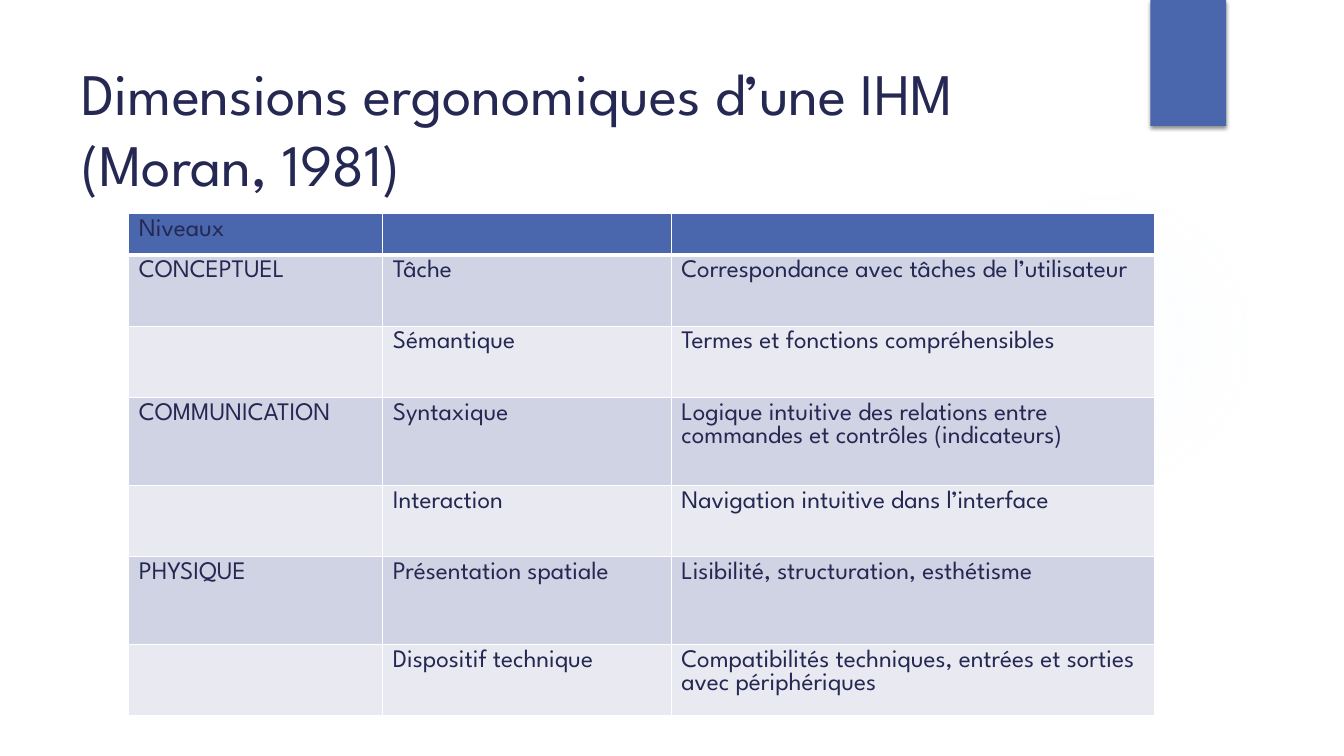
from dataclasses import dataclass

from pptx import Presentation
from pptx import util as u
from pptx.dml.color import RGBColor
from pptx.enum import shapes, text
from pptx.oxml import parse_xml
from pptx.oxml.ns import nsdecls, qn

COLORS = {
    "white": "FFFFFF",
    "navy": "242852",
    "blue": "4A66AC",
    "band_dark": "D0D3E3",
    "band_light": "E9EAF1",
    "glow": "DEEAFD",
    "shadow": "000000",
}
FONT = "League Spartan"
COLUMN_WIDTHS = (181.5, 206, 345)


@dataclass(frozen=True)
class Box:
    left: float
    top: float
    width: float
    height: float

    def lengths(self) -> tuple:
        return tuple(u.Pt(value) for value in (self.left, self.top, self.width, self.height))


@dataclass(frozen=True)
class Level:
    height: float
    name: str = ""
    dimension: str = ""
    criterion: str = ""


LEVELS = (
    Level(29.5, "Niveaux"),
    Level(51, "CONCEPTUEL", "Tâche", "Correspondance avec tâches de l’utilisateur"),
    Level(51, "", "Sémantique", "Termes et fonctions compréhensibles"),
    Level(62.7, "COMMUNICATION", "Syntaxique",
          "Logique intuitive des relations entre commandes et contrôles (indicateurs)"),
    Level(51, "", "Interaction", "Navigation intuitive dans l’interface"),
    Level(62.7, "PHYSIQUE", "Présentation spatiale", "Lisibilité, structuration, esthétisme"),
    Level(51, "", "Dispositif technique",
          "Compatibilités techniques, entrées et sorties avec périphériques"),
)


def color(name: str) -> RGBColor:
    return RGBColor.from_string(COLORS[name])


def add_run(paragraph, wording: str, size: float) -> None:
    run = paragraph.add_run()
    run.text = wording
    run.font.name = FONT
    run.font.size = u.Pt(size)
    run.font.color.rgb = color("navy")


def add_plain_shape(slide, kind, box: Box):
    shape = slide.shapes.add_shape(kind, *box.lengths())
    shape.shadow.inherit = False
    shape.line.fill.background()
    return shape


def add_glow(slide, box: Box) -> None:
    shape = add_plain_shape(slide, shapes.MSO_SHAPE.OVAL, box)
    shape.fill.background()
    stops = "".join(
        f'<a:gs pos="{position * 1000}"><a:srgbClr val="{COLORS["glow"]}">'
        f'<a:alpha val="{opacity * 1000}"/></a:srgbClr></a:gs>'
        for position, opacity in ((0, 7), (36, 6), (69, 0), (100, 0))
    )
    gradient = parse_xml(
        f'<a:gradFill {nsdecls("a")}><a:gsLst>{stops}</a:gsLst><a:path path="circle">'
        '<a:fillToRect l="50000" t="50000" r="50000" b="50000"/></a:path></a:gradFill>'
    )
    properties = shape._element.spPr
    properties.replace(properties.find(qn("a:noFill")), gradient)


def add_ribbon(slide, box: Box) -> None:
    shape = add_plain_shape(slide, shapes.MSO_SHAPE.RECTANGLE, box)
    shape.fill.solid()
    shape.fill.fore_color.rgb = color("blue")
    shape._element.spPr.find(qn("a:effectLst")).append(parse_xml(
        f'<a:outerShdw {nsdecls("a")} blurRad="{u.Pt(3)}" dist="{u.Pt(2)}" dir="5400000">'
        f'<a:srgbClr val="{COLORS["shadow"]}"><a:alpha val="45000"/></a:srgbClr></a:outerShdw>'
    ))


def add_title(slide, box: Box, wording: str) -> None:
    frame = slide.shapes.add_textbox(*box.lengths()).text_frame
    frame.word_wrap = True
    frame.vertical_anchor = text.MSO_ANCHOR.MIDDLE
    add_run(frame.paragraphs[0], wording, 42)


def set_borders(cell, bottom: float) -> None:
    properties = cell._tc.get_or_add_tcPr()
    for side, width in (("L", 1), ("R", 1), ("T", 1), ("B", bottom)):
        properties.append(parse_xml(
            f'<a:ln{side} {nsdecls("a")} w="{u.Pt(width)}"><a:solidFill>'
            f'<a:srgbClr val="{COLORS["white"]}"/></a:solidFill></a:ln{side}>'
        ))


def row_color(index: int) -> str:
    if index == 0:
        return "blue"
    return "band_dark" if index % 2 else "band_light"


def add_levels_table(slide, left: float, top: float) -> None:
    box = Box(left, top, sum(COLUMN_WIDTHS), sum(level.height for level in LEVELS))
    table = slide.shapes.add_table(len(LEVELS), len(COLUMN_WIDTHS), *box.lengths()).table
    table.first_row = False
    table.horz_banding = False
    for column, width in zip(table.columns, COLUMN_WIDTHS):
        column.width = u.Pt(width)
    for index, (row, level) in enumerate(zip(table.rows, LEVELS)):
        row.height = u.Pt(level.height)
        for cell, wording in zip(row.cells, (level.name, level.dimension, level.criterion)):
            set_borders(cell, 3 if index == 0 else 1)
            cell.fill.solid()
            cell.fill.fore_color.rgb = color(row_color(index))
            if wording:
                add_run(cell.text_frame.paragraphs[0], wording, 18)


def main() -> None:
    presentation = Presentation()
    presentation.slide_width = u.Pt(960)
    presentation.slide_height = u.Pt(540)
    slide = presentation.slides.add_slide(presentation.slide_layouts[6])
    slide.background.fill.solid()
    slide.background.fill.fore_color.rgb = color("white")
    add_glow(slide, Box(677.5, 131.8, 221.8, 221.8))
    add_ribbon(slide, Box(821.8, 0, 54, 90))
    add_title(slide, Box(51, 36, 741, 110), "Dimensions ergonomiques d’une IHM (Moran, 1981)")
    add_levels_table(slide, 92, 152.6)
    presentation.save("out.pptx")


if __name__ == "__main__":
    main()
